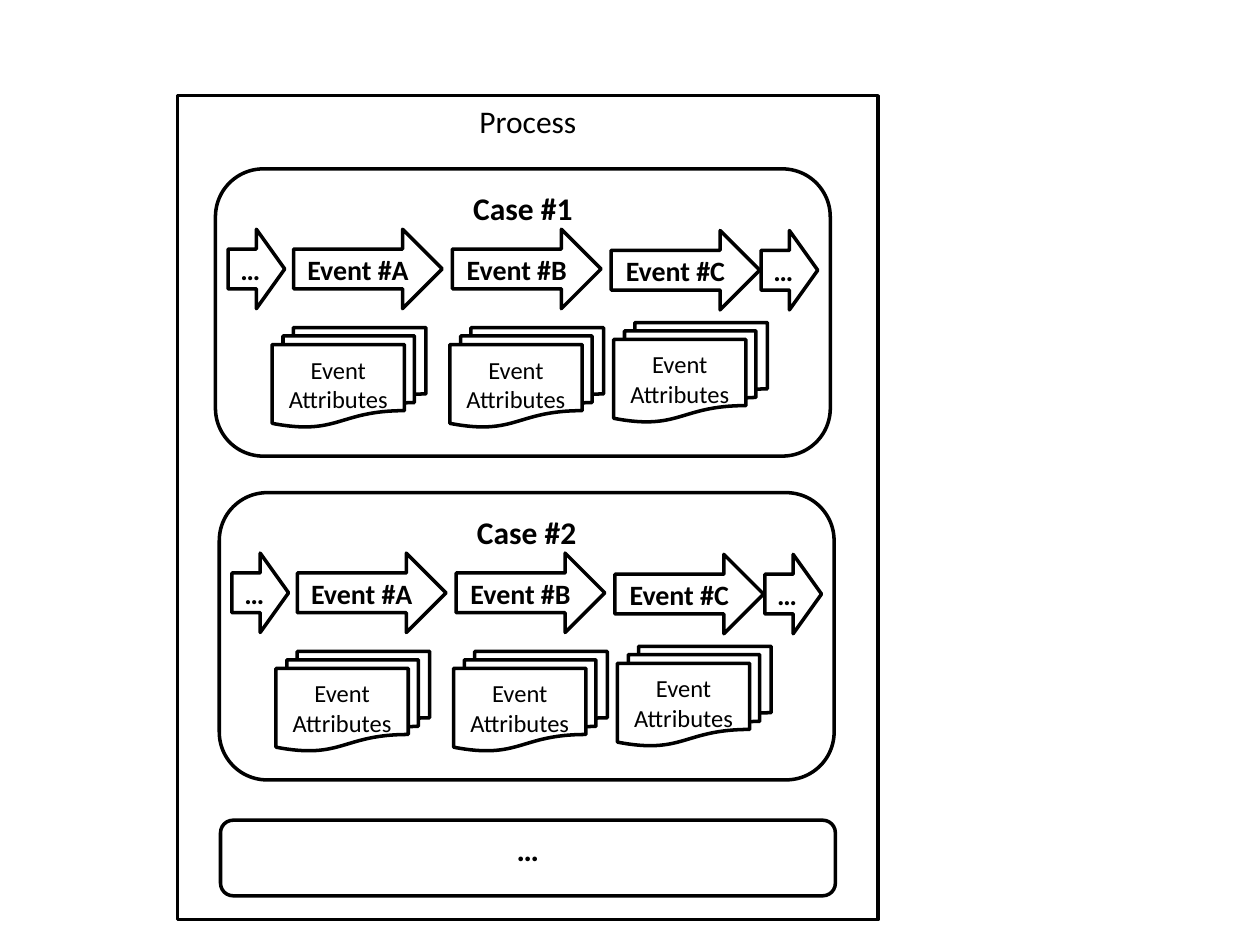
from dataclasses import dataclass

from pptx import Presentation
from pptx.dml.color import RGBColor
from pptx.enum.shapes import MSO_SHAPE
from pptx.enum.text import MSO_ANCHOR, PP_ALIGN
from pptx.util import Inches, Pt


@dataclass(frozen=True)
class Theme:
    font: str = "Calibri"
    ink: RGBColor = RGBColor(0, 0, 0)
    paper: RGBColor = RGBColor(255, 255, 255)
    line: float = 2
    title: int = 18
    event: int = 16
    note: int = 14


@dataclass(frozen=True)
class Kind:
    form: MSO_SHAPE
    width: float
    height: float
    size: int
    bold: bool = True
    anchor: MSO_ANCHOR = MSO_ANCHOR.MIDDLE


@dataclass(frozen=True)
class Part:
    kind: Kind
    text: str
    left: float
    top: float


THEME = Theme()
TOP = MSO_ANCHOR.TOP
ROUND = MSO_SHAPE.FLOWCHART_ALTERNATE_PROCESS
ARROW = MSO_SHAPE.RIGHT_ARROW

PROCESS = Kind(MSO_SHAPE.RECTANGLE, 5.56, 6.54, THEME.title, False, TOP)
CASE = Kind(ROUND, 4.88, 2.28, THEME.title, anchor=TOP)
MORE = Kind(ROUND, 4.88, 0.6, THEME.title, anchor=TOP)
EVENT = Kind(ARROW, 1.18, 0.63, THEME.event)
STEP = Kind(ARROW, 0.45, 0.63, THEME.event)
NOTES = Kind(MSO_SHAPE.FLOWCHART_MULTIDOCUMENT, 1.22, 0.79, THEME.note, False)

PARTS = [
    Part(EVENT, "Event #A", 0.62, 0.48),
    Part(EVENT, "Event #B", 1.88, 0.48),
    Part(EVENT, "Event #C", 3.14, 0.49),
    Part(NOTES, "Event Attributes", 0.45, 1.26),
    Part(NOTES, "Event Attributes", 1.86, 1.26),
    Part(NOTES, "Event Attributes", 3.16, 1.22),
    Part(STEP, "…", 0.1, 0.48),
    Part(STEP, "…", 4.33, 0.49),
]
CASES = [Part(CASE, "Case #1", 1.71, 1.34), Part(CASE, "Case #2", 1.74, 3.91)]


def write(frame, text: str, *, size: int, bold: bool, anchor: MSO_ANCHOR) -> None:
    frame.word_wrap = True
    frame.vertical_anchor = anchor
    para = frame.paragraphs[0]
    para.alignment = PP_ALIGN.CENTER
    run = para.add_run()
    run.text = text
    run.font.name = THEME.font
    run.font.size = Pt(size)
    run.font.bold = bold
    run.font.color.rgb = THEME.ink


def draw(shapes, part: Part, left: float = 0, top: float = 0) -> None:
    kind = part.kind
    shape = shapes.add_shape(
        kind.form,
        Inches(left + part.left),
        Inches(top + part.top),
        Inches(kind.width),
        Inches(kind.height),
    )
    shape.shadow.inherit = False
    shape.fill.solid()
    shape.fill.fore_color.rgb = THEME.paper
    shape.line.color.rgb = THEME.ink
    shape.line.width = Pt(THEME.line)
    write(shape.text_frame, part.text, size=kind.size, bold=kind.bold, anchor=kind.anchor)


def group(shapes, case: Part) -> None:
    inner = shapes.add_group_shape().shapes
    draw(inner, case)
    for part in PARTS:
        draw(inner, part, case.left, case.top)


def main() -> None:
    deck = Presentation()
    deck.slide_width = Inches(10)
    deck.slide_height = Inches(7.5)
    shapes = deck.slides.add_slide(deck.slide_layouts[6]).shapes
    draw(shapes, Part(PROCESS, "Process", 1.41, 0.76))
    for case in CASES:
        group(shapes, case)
    draw(shapes, Part(MORE, "…", 1.75, 6.51))
    deck.save("out.pptx")


if __name__ == "__main__":
    main()
